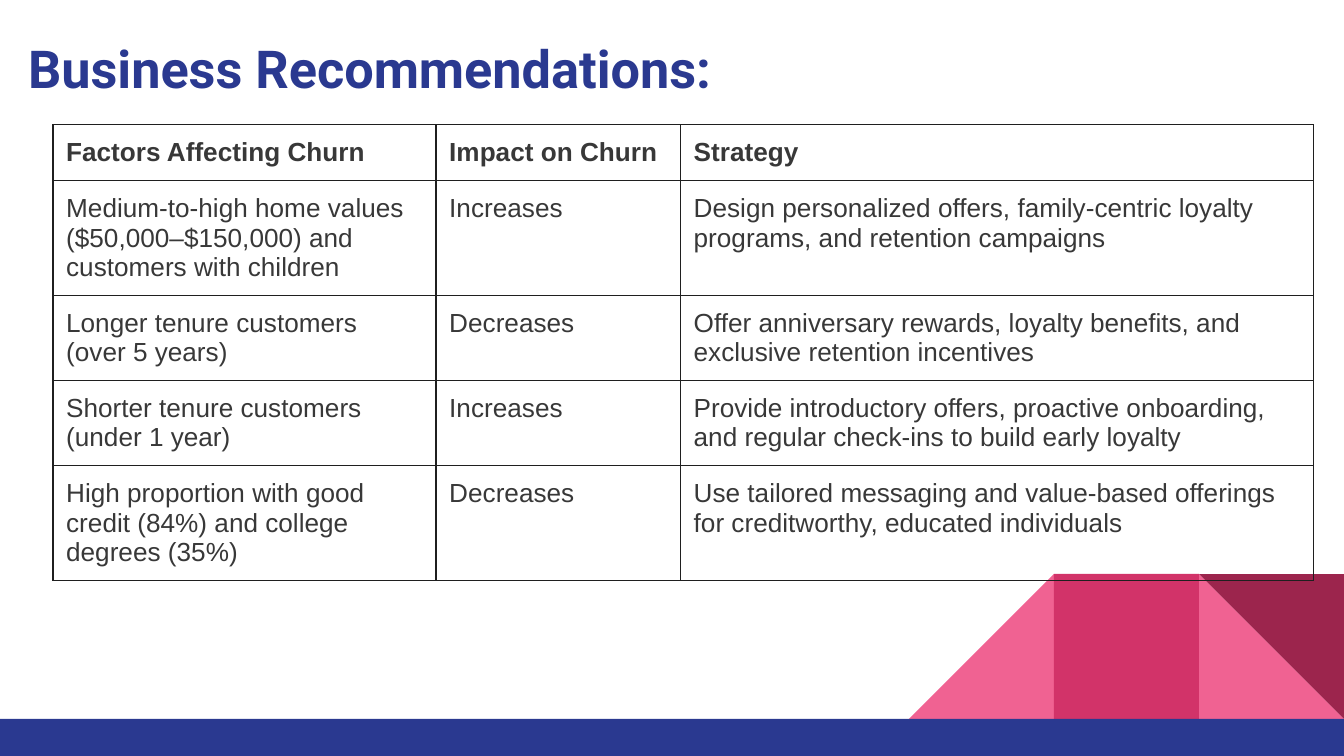
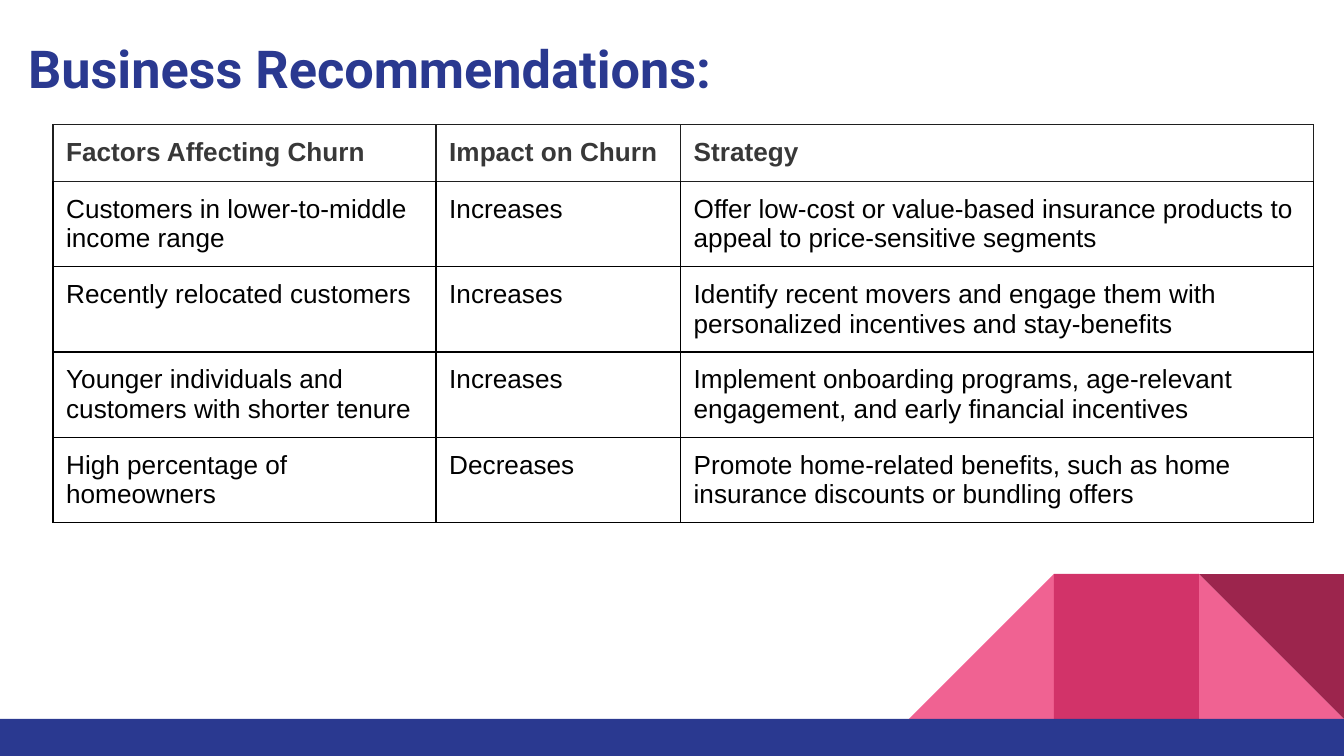
from lxml.etree import SubElement
from pptx import Presentation
from pptx.dml.color import RGBColor
from pptx.enum.shapes import MSO_SHAPE as Shape
from pptx.enum.text import MSO_ANCHOR as Anchor, MSO_AUTO_SIZE as AutoSize, PP_ALIGN as Align
from pptx.oxml.ns import qn
from pptx.util import Cm, Pt

# Shared style
NAVY, PINK, ROSE, WINE = "2A3990", "F06292", "D23369", "9C254D"
CHARCOAL, GRAPHITE, BLACK = "383838", "1F1F1F", "000000"
PAGE_WIDTH, PAGE_HEIGHT = 25.4, 14.29
BAND_TOP, TILE = 13.59, 2.74
INSET = Cm(0.25)
COLUMN_WIDTHS = (7.24, 4.62, 11.96)
HEADER = ("Factors Affecting Churn", "Impact on Churn", "Strategy")

# Table content
PROFILE_ROWS = [
    ("Medium-to-high home values ($50,000–$150,000) and customers with children", "Increases",
     "Design personalized offers, family-centric loyalty programs, and retention campaigns"),
    ("Longer tenure customers (over 5 years)", "Decreases",
     "Offer anniversary rewards, loyalty benefits, and exclusive retention incentives"),
    ("Shorter tenure customers (under 1 year)", "Increases",
     "Provide introductory offers, proactive onboarding, and regular check-ins to build early loyalty"),
    ("High proportion with good credit (84%) and college degrees (35%)", "Decreases",
     "Use tailored messaging and value-based offerings for creditworthy, educated individuals"),
]
SEGMENT_ROWS = [
    ("Customers in lower-to-middle income range", "Increases",
     "Offer low-cost or value-based insurance products to appeal to price-sensitive segments"),
    ("Recently relocated customers", "Increases",
     "Identify recent movers and engage them with personalized incentives and stay-benefits"),
    ("Younger individuals and customers with shorter tenure", "Increases",
     "Implement onboarding programs, age-relevant engagement, and early financial incentives"),
    ("High percentage of homeowners", "Decreases",
     "Promote home-related benefits, such as home insurance discounts or bundling offers"),
]


def color(value):
    return RGBColor.from_string(value)


class DeckBuilder:
    def __init__(self):
        self.deck = Presentation()
        self.deck.slide_width, self.deck.slide_height = Cm(PAGE_WIDTH), Cm(PAGE_HEIGHT)
        self.page = None

    def add_page(self, title):
        self.page = self.deck.slides.add_slide(self.deck.slide_layouts[5])
        self.page.background.fill.solid()
        self.page.background.fill.fore_color.rgb = color("FFFFFF")
        self.add_decoration()
        self.set_title(title)

    def add_decoration(self):
        """Pink tiles in the corner, above the navy footer band."""
        group = self.page.shapes.add_group_shape()
        top = BAND_TOP - TILE
        tiles = [
            (Shape.RIGHT_TRIANGLE, 1, 0, PINK),
            (Shape.RIGHT_TRIANGLE, 3, 270, PINK),
            (Shape.RECTANGLE, 2, 0, ROSE),
            (Shape.RIGHT_TRIANGLE, 1, 180, WINE),
        ]
        for kind, from_right, rotation, fill in tiles:
            left = PAGE_WIDTH - from_right * TILE
            tile = self.add_block(group, kind, (left, top, TILE, TILE), fill)
            tile.rotation = rotation
        band = (0, BAND_TOP, PAGE_WIDTH, PAGE_HEIGHT - BAND_TOP)
        self.add_block(group, Shape.RECTANGLE, band, NAVY)

    def add_block(self, parent, kind, area, fill):
        block = parent.shapes.add_shape(kind, *map(Cm, area))
        block.shadow.inherit = False
        block.fill.solid()
        block.fill.fore_color.rgb = color(fill)
        block.line.fill.background()
        return block

    def set_title(self, text):
        box = self.page.shapes.title
        box.left, box.top, box.width, box.height = map(Cm, (0.28, 0.43, 23.95, 1.68))
        frame = box.text_frame
        frame.text = text
        frame.auto_size, frame.word_wrap = AutoSize.NONE, True
        frame.vertical_anchor = Anchor.TOP
        self.set_insets(frame)
        para = frame.paragraphs[0]
        para.alignment = Align.LEFT
        self.set_font(para, "Roboto", 28, NAVY, True)

    def add_table(self, rows, row_heights, text_color, border_color):
        rows = [HEADER, *rows]
        frame = self.page.shapes.add_table(
            len(rows), len(HEADER), Cm(1), Cm(2.36),
            Cm(sum(COLUMN_WIDTHS)), Cm(sum(row_heights)))
        table = frame.table
        table.first_row = table.horz_banding = False
        for column, width in zip(table.columns, COLUMN_WIDTHS):
            column.width = Cm(width)
        for index, (texts, height) in enumerate(zip(rows, row_heights)):
            table.rows[index].height = Cm(height)
            is_header = index == 0
            side = GRAPHITE if is_header else border_color
            top = GRAPHITE if index <= 1 else border_color
            for cell, text in zip(table.rows[index].cells, texts):
                cell.text = text
                self.set_insets(cell)
                self.set_font(cell.text_frame.paragraphs[0], "Arial", 14,
                              CHARCOAL if is_header else text_color, is_header)
                self.set_borders(cell, {"L": side, "R": side, "T": top, "B": side})
                cell.fill.background()

    def set_borders(self, cell, sides):
        properties = cell._tc.get_or_add_tcPr()
        for side, value in sides.items():
            line = SubElement(properties, qn(f"a:ln{side}"), w=str(Pt(0.75)))
            fill = SubElement(line, qn("a:solidFill"))
            SubElement(fill, qn("a:srgbClr"), val=value)

    def set_insets(self, holder):
        holder.margin_left = holder.margin_right = INSET
        holder.margin_top = holder.margin_bottom = INSET

    def set_font(self, para, name, size, value, bold):
        font = para.font
        font.name, font.size, font.bold = name, Pt(size), bold
        font.color.rgb = color(value)


def main():
    builder = DeckBuilder()

    # Customer profile factors
    builder.add_page("Business Recommendations:")
    builder.add_table(PROFILE_ROWS, (1.04, 2.06, 1.04, 1.55, 1.55), CHARCOAL, GRAPHITE)

    # Customer segment factors
    builder.add_page("Business Recommendations:")
    builder.add_table(SEGMENT_ROWS, (1.07, 1.55, 1.55, 1.55, 1.55), BLACK, BLACK)

    builder.deck.save("out.pptx")


if __name__ == "__main__":
    main()
